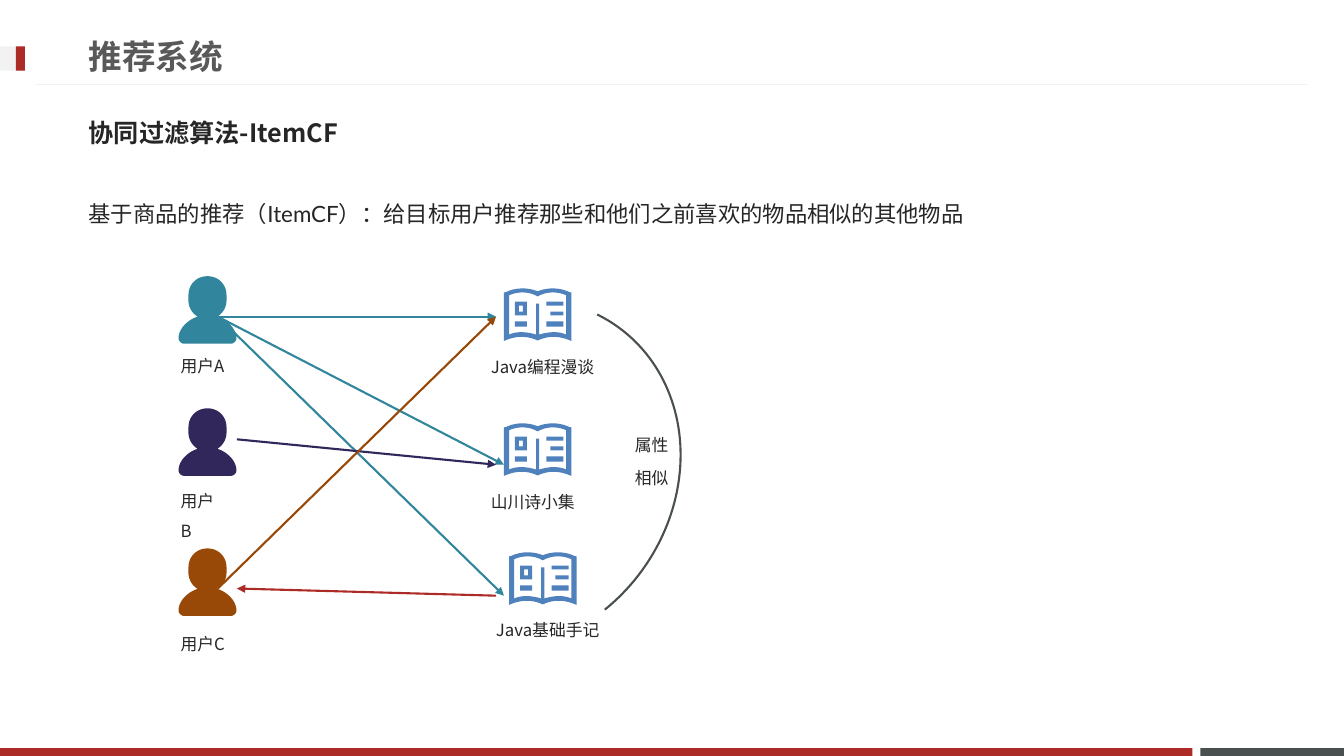
from dataclasses import dataclass

from lxml.etree import SubElement
from pptx import Presentation
from pptx.dml.color import RGBColor
from pptx.enum.lang import MSO_LANGUAGE_ID
from pptx.enum.shapes import MSO_CONNECTOR, MSO_SHAPE
from pptx.enum.text import MSO_ANCHOR, MSO_AUTO_SIZE, PP_ALIGN
from pptx.oxml.ns import qn
from pptx.util import Cm, Pt


@dataclass(frozen=True)
class Theme:
    red: str = "AD2B26"
    slate: str = "49504F"
    pale: str = "F2F2F2"
    heading: str = "595959"
    ink: str = "262626"
    teal: str = "31859C"
    violet: str = "31275B"
    brown: str = "984807"
    blue: str = "4F81BD"
    title_size: int = 24
    subtitle_size: int = 18
    body_size: int = 16
    label_size: int = 12
    title_font: str = "DejaVu Sans Mono"
    body_font: str = "Lato"
    cjk_font: str = "Noto Sans CJK JP"


@dataclass(frozen=True)
class Box:
    """Lengths in centimetres."""
    left: float
    top: float
    width: float
    height: float

    def inner(self, left, top, width, height):
        return Box(self.left + left, self.top + top, width, height)

    def point(self, x, y):
        return Cm(self.left + x), Cm(self.top + y)

    def lengths(self):
        return Cm(self.left), Cm(self.top), Cm(self.width), Cm(self.height)


THEME = Theme()


# Shared helpers
def rgb(code):
    return RGBColor.from_string(code)


def paint(shape, color):
    shape.shadow.inherit = False
    shape.fill.solid()
    shape.fill.fore_color.rgb = rgb(color)
    shape.line.fill.background()


def add_bar(slide, box, color):
    paint(slide.shapes.add_shape(MSO_SHAPE.RECTANGLE, *box.lengths()), color)


def add_line(slide, start, end, color, width, arrow=False):
    line = slide.shapes.add_connector(MSO_CONNECTOR.STRAIGHT, *start, *end)
    line.line.color.rgb = rgb(color)
    line.line.width = Pt(width)
    if arrow:
        SubElement(line.line._get_or_add_ln(), qn("a:tailEnd"), type="triangle")
    SubElement(line._element.spPr, qn("a:effectLst"))


def write(frame, lines, size, font=THEME.cjk_font, color=THEME.ink, bold=False,
          spacing=1.5, before=0.2, anchor=MSO_ANCHOR.TOP):
    frame.word_wrap = True
    frame.auto_size = MSO_AUTO_SIZE.NONE
    frame.vertical_anchor = anchor
    for number, words in enumerate(lines):
        paragraph = frame.add_paragraph() if number else frame.paragraphs[0]
        paragraph.alignment = PP_ALIGN.LEFT
        paragraph.line_spacing = spacing
        paragraph.space_before = Pt(before * size)
        run = paragraph.add_run()
        run.text = words
        run.font.size, run.font.bold, run.font.name = Pt(size), bold, font
        run.font.color.rgb = rgb(color)
        run.font.language_id = MSO_LANGUAGE_ID.SIMPLIFIED_CHINESE
        SubElement(run.font._element, qn("a:ea"), typeface=THEME.cjk_font)


def add_label(slide, box, *lines):
    label = slide.shapes.add_textbox(*box.lengths())
    write(label.text_frame, lines, THEME.label_size)


# Icon outlines: a step is a point, or three points of a Bezier curve
def trace(steps, samples=10):
    points = [steps[0]]
    for step in steps[1:]:
        if len(step) == 2:
            points.append(step)
            continue
        curve = (points[-1], *step)
        for i in range(1, samples + 1):
            t = i / samples
            weights = ((1 - t) ** 3, 3 * t * (1 - t) ** 2, 3 * t * t * (1 - t), t ** 3)
            points.append(tuple(sum(w * p[axis] for w, p in zip(weights, curve))
                                for axis in (0, 1)))
    return points


def mirrored(steps, width):
    half = trace(steps)
    return half + [(width - x, y) for x, y in reversed(half)]


def rectangle(left, top, right, bottom):
    return [(left, top), (right, top), (right, bottom), (left, bottom)]


PERSON = [mirrored([
    (0.73, 1.7), (0.13, 1.7), ((0.07, 1.7), (0, 1.63), (0, 1.57)),
    ((0, 1.32), (0.23, 1.1), (0.48, 1.02)), ((0.35, 0.94), (0.25, 0.79), (0.25, 0.61)),
    (0.25, 0.48), ((0.25, 0.2), (0.46, 0), (0.73, 0))], 1.46)]

BOOK = [
    mirrored([(0.85, 0.1), ((0.6, 0), (0.3, 0), (0.05, 0.12)), (0, 0.13), (0, 1.35),
              (0.08, 1.32), ((0.33, 1.22), (0.6, 1.22), (0.85, 1.34))], 1.7),
    mirrored([(0.85, 0.41), (0.81, 0.41), (0.81, 1.19),
              ((0.58, 1.12), (0.33, 1.1), (0.13, 1.19)), (0.13, 0.2),
              ((0.36, 0.1), (0.63, 0.1), (0.85, 0.23))], 1.7),
    rectangle(0.28, 0.36, 0.58, 0.71), rectangle(0.38, 0.46, 0.48, 0.61),
    rectangle(0.28, 0.86, 0.58, 0.99), rectangle(1.07, 0.36, 1.5, 0.46),
    rectangle(1.17, 0.61, 1.5, 0.71), rectangle(1.07, 0.86, 1.5, 0.99)]


def add_icon(slide, box, contours, color):
    builder = None
    for contour in contours:
        first, *rest = [box.point(*point) for point in contour]
        if builder is None:
            builder = slide.shapes.build_freeform(*first)
        else:
            builder.move_to(*first)
        builder.add_line_segments(rest, close=True)
    paint(builder.convert_to_shape(), color)


# Page frame: footer bars, title rule and title marker
def draw_frame(slide, page):
    add_bar(slide, page.inner(30.25, 18.85, 3.62, 0.2), THEME.slate)
    add_bar(slide, page.inner(0, 18.85, 30.05, 0.2), THEME.red)
    add_line(slide, page.point(32.97, 2.13), page.point(0.89, 2.13), THEME.pale, 0.75)
    add_bar(slide, page.inner(0, 1.17, 0.63, 0.61), THEME.pale)
    add_bar(slide, page.inner(0.4, 1.17, 0.23, 0.61), THEME.red)


# Title, subtitle and definition
def fill_headings(slide, box):
    holders = {holder.placeholder_format.idx: holder for holder in slide.placeholders}
    title, subtitle, definition = (holders.pop(idx) for idx in (0, 1, 3))
    for unused in holders.values():
        unused._element.getparent().remove(unused._element)
    for holder, top, width in ((title, 0, 24.36), (subtitle, 1.93, 29.87),
                               (definition, 3.88, 24.36)):
        area = box.inner(0, top, width, 1.45)
        holder.left, holder.top, holder.width, holder.height = area.lengths()
    write(title.text_frame, ["推荐系统"], THEME.title_size, THEME.title_font,
          THEME.heading, True, 1.0, 0, MSO_ANCHOR.MIDDLE)
    write(subtitle.text_frame, ["协同过滤算法-ItemCF"], THEME.subtitle_size, bold=True,
          spacing=1.0, anchor=MSO_ANCHOR.MIDDLE)
    write(definition.text_frame,
          ["基于商品的推荐（ItemCF）：给目标用户推荐那些和他们之前喜欢的物品相似的其他物品"],
          THEME.body_size, THEME.body_font)


# Users, books and the links between them
def draw_diagram(slide, box):
    for user, top, label_top, color in (("用户A", 0, 1.63, THEME.teal),
                                        ("用户B", 3.33, 5.03, THEME.violet),
                                        ("用户C", 6.86, 8.64, THEME.brown)):
        add_icon(slide, box.inner(0, top, 1.46, 1.7), PERSON, color)
        add_label(slide, box.inner(-0.2, label_top, 1.62, 1.17), user)

    for book, left, top in (("Java编程漫谈", 8.2, 0.28), ("山川诗小集", 8.2, 3.68),
                            ("Java基础手记", 8.33, 6.93)):
        add_icon(slide, box.inner(left, top, 1.7, 1.35), BOOK, THEME.blue)
        add_label(slide, box.inner(left - 0.58, top + 1.36, 4, 1.17), book)

    user_a, first_book = (0.99, 1.02), (8, 1.02)
    for start, end, color in ((user_a, (8.2, 4.75), THEME.teal),
                              (user_a, first_book, THEME.teal),
                              (user_a, (8.2, 8.05), THEME.teal),
                              ((1.47, 4.11), (8, 4.75), THEME.violet),
                              ((0.99, 7.87), first_book, THEME.brown),
                              ((8, 8.05), (1.47, 7.87), THEME.red)):
        add_line(slide, box.point(*start), box.point(*end), color, 1.5, arrow=True)

    # Similarity between the first and the last book
    add_label(slide, box.inner(11.25, 3.61, 1.7, 2.06), "属性", "相似")
    similarity = slide.shapes.add_shape(MSO_SHAPE.ARC,
                                        *box.inner(4.21, 0.38, 8.23, 9.3).lengths())
    similarity.adjustments[0], similarity.adjustments[1] = 156.36, 9.76
    similarity.rotation = 38.1
    similarity.shadow.inherit = False
    similarity.fill.background()
    similarity.line.color.rgb = rgb(THEME.slate)
    similarity.line.width = Pt(1.5)


deck = Presentation()
deck.slide_width, deck.slide_height = Cm(33.87), Cm(19.05)
item_cf = deck.slides.add_slide(deck.slide_layouts.get_by_name("Comparison"))
draw_frame(item_cf, Box(0, 0, 33.87, 19.05))
fill_headings(item_cf, Box(1.98, 0.69, 29.87, 5.33))
draw_diagram(item_cf, Box(4.5, 6.96, 12.95, 10.3))
deck.save("out.pptx")
